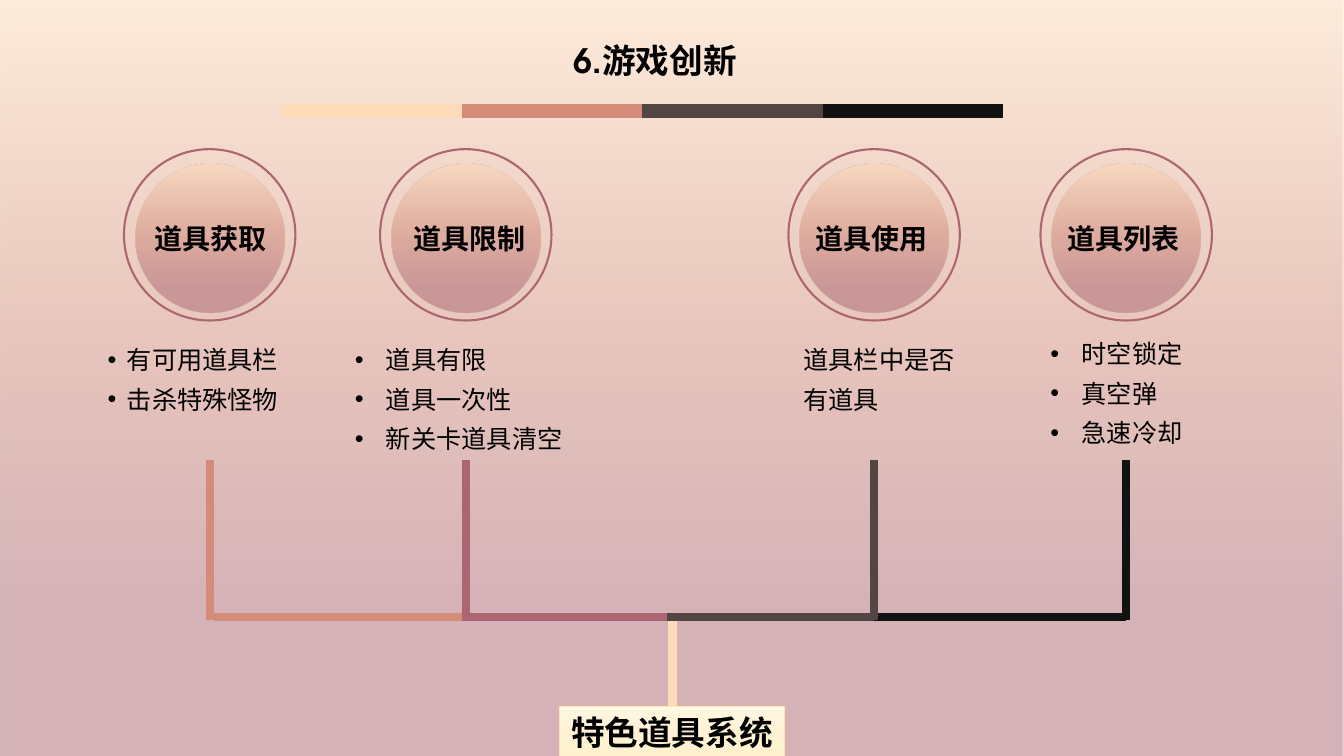
from dataclasses import dataclass

from pptx import Presentation
from pptx.dml.color import RGBColor as RGB
from pptx.enum.shapes import MSO_CONNECTOR as LINE, MSO_SHAPE as SHAPE
from pptx.enum.text import MSO_ANCHOR as ANCHOR, MSO_AUTO_SIZE as AUTO, PP_ALIGN as ALIGN
from pptx.oxml import parse_xml
from pptx.oxml.ns import nsdecls, qn
from pptx.util import Inches, Pt


@dataclass(frozen=True)
class Theme:
    """Colours, fonts and type sizes of the slide."""
    sand: str = "FDDAB8"
    coral: str = "D28C79"
    rose: str = "AC6672"
    brown: str = "534544"
    black: str = "121212"
    text: str = "000000"
    box_line: str = "FFE7AB"
    wash: tuple = ((0, "FDDAB8"), (45, "D28C79"), (80, "AC6672"), (100, "AC6672"))
    cream: tuple = ((0, "FFF7E4"), (50, "FFF2D4"), (100, "FFF1CE"))
    cjk: str = "Noto Sans CJK SC"
    title_font: str = "TeX Gyre Adventor"
    root_font: str = "Calibri"
    title: int = 24
    label: int = 20
    body: int = 18


@dataclass(frozen=True)
class Branch:
    """One item of the tree, with its places in inches."""
    label: str
    points: tuple
    color: str
    center: float
    bus_start: float
    label_left: float
    list_box: tuple
    indent: float


T = Theme()
HUB, BUS_Y, STEM_TOP = 6.62, 6.12, 4.56
BRANCHES = (
    Branch("道具获取", ("有可用道具栏", "击杀特殊怪物"), T.coral,
           2.08, 2.12, 1.43, (0.97, 3.28, 2.41, 0.89), 0.19),
    Branch("道具限制", ("道具有限", "道具一次性", "新关卡道具清空"), T.rose,
           4.62, 4.58, 4, (3.42, 3.28, 2.41, 1.28), 0.31),
    Branch("道具使用", ("道具栏中是否有道具",), T.brown,
           8.67, 8.67, 7.99, (7.87, 3.28, 1.75, 0.89), 0),
    Branch("道具列表", ("时空锁定", "真空弹", "急速冷却"), T.black,
           11.17, 11.17, 10.49, (10.32, 3.22, 2.41, 1.28), 0.31),
)


def inches(*values):
    """Turn numbers into lengths."""
    return [Inches(v) for v in values]


def apply(obj, **formats):
    """Set each named format value on an object."""
    for name, value in formats.items():
        setattr(obj, name, value)


def add_run(p, text, size, font=T.cjk, bold=False):
    """Add a formatted run to a paragraph."""
    r = p.add_run()
    r.text = text
    apply(r.font, name=font, size=Pt(size), bold=bold)
    r.font.color.rgb = RGB.from_string(T.text)
    r._r.rPr.find(qn("a:latin")).addnext(
        parse_xml(f'<a:ea {nsdecls("a")} typeface="{T.cjk}"/>'))


def add_bullet(p, indent):
    """Give a paragraph a hanging bullet."""
    pPr = p._p.get_or_add_pPr()
    pPr.set("marL", str(Inches(indent)))
    pPr.set("indent", str(-Inches(indent)))
    pPr.append(parse_xml(f'<a:buFont {nsdecls("a")} typeface="Arial"/>'))
    pPr.append(parse_xml(f'<a:buChar {nsdecls("a")} char="•"/>'))


def fill_gradient(sp, stops, alpha=100):
    """Fill a shape with a gradient running downwards."""
    gs = "".join(f'<a:gs pos="{pos * 1000}"><a:srgbClr val="{color}">'
                 f'<a:alpha val="{alpha * 1000}"/></a:srgbClr></a:gs>'
                 for pos, color in stops)
    sp.fill.background()
    spPr = sp._element.spPr
    spPr.replace(spPr.find(qn("a:noFill")), parse_xml(
        f'<a:gradFill {nsdecls("a")} rotWithShape="1"><a:gsLst>{gs}</a:gsLst>'
        '<a:lin ang="5400000" scaled="0"/></a:gradFill>'))


def add_preset(slide, kind, box, stops=None, alpha=100, line=None, width=1):
    """Add a shape with an optional gradient and outline."""
    sp = slide.shapes.add_shape(kind, *inches(*box))
    sp.shadow.inherit = False
    if stops:
        fill_gradient(sp, stops, alpha)
    else:
        sp.fill.background()
    if line:
        sp.line.color.rgb = RGB.from_string(line)
        sp.line.width = Pt(width)
    else:
        sp.line.fill.background()
    return sp


def add_line(slide, start, end, color, width=6):
    """Add a straight line without shadow."""
    c = slide.shapes.add_connector(LINE.STRAIGHT, *inches(*start, *end))
    c.line.color.rgb = RGB.from_string(color)
    c.line.width = Pt(width)
    c._element.spPr.append(parse_xml(f'<a:effectLst {nsdecls("a")}/>'))


def add_text(slide, box):
    """Add a wrapping text box and return its frame."""
    tf = slide.shapes.add_textbox(*inches(*box)).text_frame
    apply(tf, word_wrap=True, auto_size=AUTO.SHAPE_TO_FIT_TEXT)
    return tf


def add_header(slide, box):
    """Place the title and the four-colour rule below it."""
    left, top, width, height = inches(*box)
    title = slide.shapes.title
    slide.shapes._spTree.append(title._element)
    apply(title, left=left, top=top, width=width, height=height)
    tf = title.text_frame
    apply(tf, word_wrap=True, auto_size=AUTO.NONE, vertical_anchor=ANCHOR.MIDDLE,
          margin_top=0, margin_bottom=0)
    p = tf.paragraphs[0]
    apply(p, alignment=ALIGN.CENTER, line_spacing=0.9)
    add_run(p, "6.游戏创新", T.title, T.title_font, True)
    y = box[1] + 0.68
    for i, color in enumerate((T.sand, T.coral, T.brown, T.black)):
        x = 2.79 + 1.79 * i
        add_line(slide, (x, y), (x + 1.79, y), color, 10)


def add_tree(slide):
    """Draw the trunk, then the bus and stem of each branch."""
    add_line(slide, (6.67, 7.1), (6.67, BUS_Y), T.sand)
    for b in sorted(BRANCHES, key=lambda b: -abs(b.center - HUB)):
        add_line(slide, (b.bus_start, BUS_Y), (HUB, BUS_Y), b.color)
    for b in BRANCHES:
        add_line(slide, (b.center, BUS_Y + 0.03), (b.center, STEM_TOP), b.color)


def add_branch(slide, b):
    """Place the ringed circle, its label and its list."""
    for size, top, look in ((1.48, 1.62, {"stops": T.wash, "alpha": 50}),
                            (1.7, 1.48, {"line": T.rose, "width": 1.5})):
        add_preset(slide, SHAPE.OVAL, (b.center - size / 2, top, size, size), **look)
    tf = add_text(slide, (b.label_left, 2.15, 1.48, 0.44))
    add_run(tf.paragraphs[0], b.label, T.label, bold=True)
    tf = add_text(slide, b.list_box)
    for i, point in enumerate(b.points):
        p = tf.add_paragraph() if i else tf.paragraphs[0]
        p.line_spacing = 1.3
        if b.indent:
            add_bullet(p, b.indent)
        add_run(p, point, T.body)


def add_root(slide, box):
    """Place the box at the foot of the tree."""
    sp = add_preset(slide, SHAPE.RECTANGLE, box, T.cream, line=T.box_line, width=0.5)
    tf = sp.text_frame
    apply(tf, word_wrap=True, vertical_anchor=ANCHOR.MIDDLE)
    p = tf.paragraphs[0]
    p.alignment = ALIGN.CENTER
    add_run(p, "特色道具系统", T.title, T.root_font, True)


def main():
    """Build the slide and save it."""
    prs = Presentation()
    apply(prs, slide_width=Inches(13.33), slide_height=Inches(7.5))
    slide = prs.slides.add_slide(prs.slide_layouts[5])
    add_preset(slide, SHAPE.RECTANGLE, (0, 0, 13.33, 7.5), T.wash, 50)
    add_header(slide, (4.16, 0.42, 4.68, 0.4))
    add_tree(slide)
    for b in BRANCHES:
        add_branch(slide, b)
    add_root(slide, (5.55, 7.01, 2.23, 0.5))
    prs.save("out.pptx")


if __name__ == "__main__":
    main()
